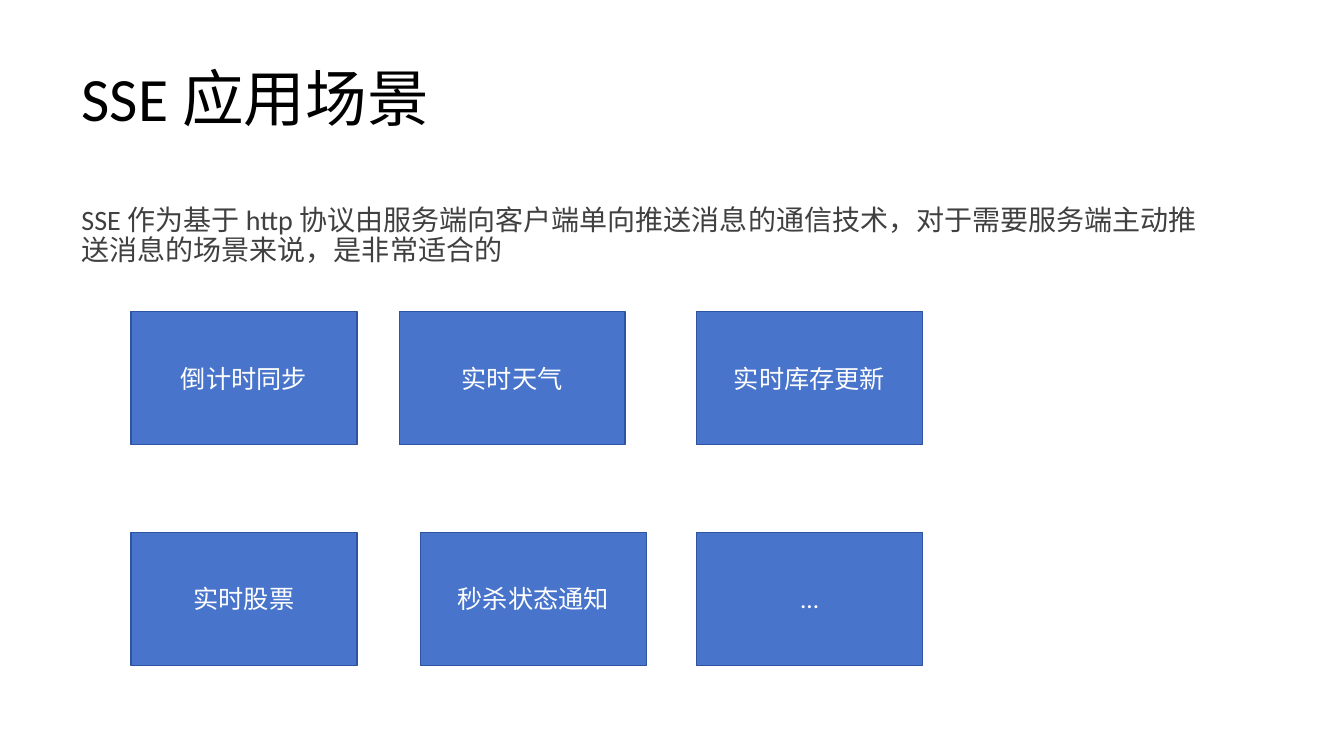
from dataclasses import dataclass

from pptx import Presentation
from pptx import util as u
from pptx.dml.color import RGBColor
from pptx.enum import shapes, text


@dataclass(frozen=True)
class Theme:
    font: str = "Calibri"
    ink: str = "000000"
    body: str = "404040"
    fill: str = "4874CB"
    edge: str = "2E54A1"
    light: str = "FFFFFF"
    big: int = 44
    mid: int = 20
    small: int = 18


T = Theme()
CARD = (2.24, 1.32)
# Each row: top offset, then (left offset, label) per card
ROWS = [
    (0, [(0, "倒计时同步"), (2.66, "实时天气"), (5.61, "实时库存更新")]),
    (2.19, [(0, "实时股票"), (2.87, "秒杀状态通知"), (5.61, "...")]),
]


def write(shape, words, size, color, align=text.PP_ALIGN.LEFT,
          anchor=text.MSO_ANCHOR.MIDDLE, line=1.0, before=0):
    frame = shape.text_frame
    frame.word_wrap = True
    frame.vertical_anchor = anchor
    para = frame.paragraphs[0]
    para.alignment = align
    para.line_spacing = line
    para.space_before = u.Pt(before)
    run = para.add_run()
    run.text = words
    run.font.name = T.font
    run.font.size = u.Pt(size)
    run.font.color.rgb = RGBColor.from_string(color)


def block(slide, box, words, size, color, **form):
    shape = slide.shapes.add_textbox(*map(u.Inches, box))
    write(shape, words, size, color, line=0.9, **form)


def card(slide, box, label):
    shape = slide.shapes.add_shape(
        shapes.MSO_SHAPE.RECTANGLE, *map(u.Inches, box))
    shape.shadow.inherit = False
    shape.fill.solid()
    shape.fill.fore_color.rgb = RGBColor.from_string(T.fill)
    shape.line.color.rgb = RGBColor.from_string(T.edge)
    shape.line.width = u.Pt(1)
    write(shape, label, T.small, T.light, align=text.PP_ALIGN.CENTER)


def cards(slide, left, top):
    for down, row in ROWS:
        for over, label in row:
            card(slide, (left + over, top + down, *CARD), label)


def main():
    deck = Presentation()
    deck.slide_width = u.Inches(13.33)
    deck.slide_height = u.Inches(7.5)
    slide = deck.slides.add_slide(deck.slide_layouts[6])

    # Title
    block(slide, (0.71, 0.28, 11.5, 1.45), "SSE 应用场景", T.big, T.ink)

    # Introduction
    block(slide, (0.71, 2, 11.5, 4.76),
          "SSE 作为基于 http 协议由服务端向客户端单向推送消息的通信技术，"
          "对于需要服务端主动推送消息的场景来说，是非常适合的",
          T.mid, T.body, anchor=text.MSO_ANCHOR.TOP, before=10)

    # Use cases
    cards(slide, 1.3, 3.09)

    deck.save("out.pptx")


if __name__ == "__main__":
    main()
